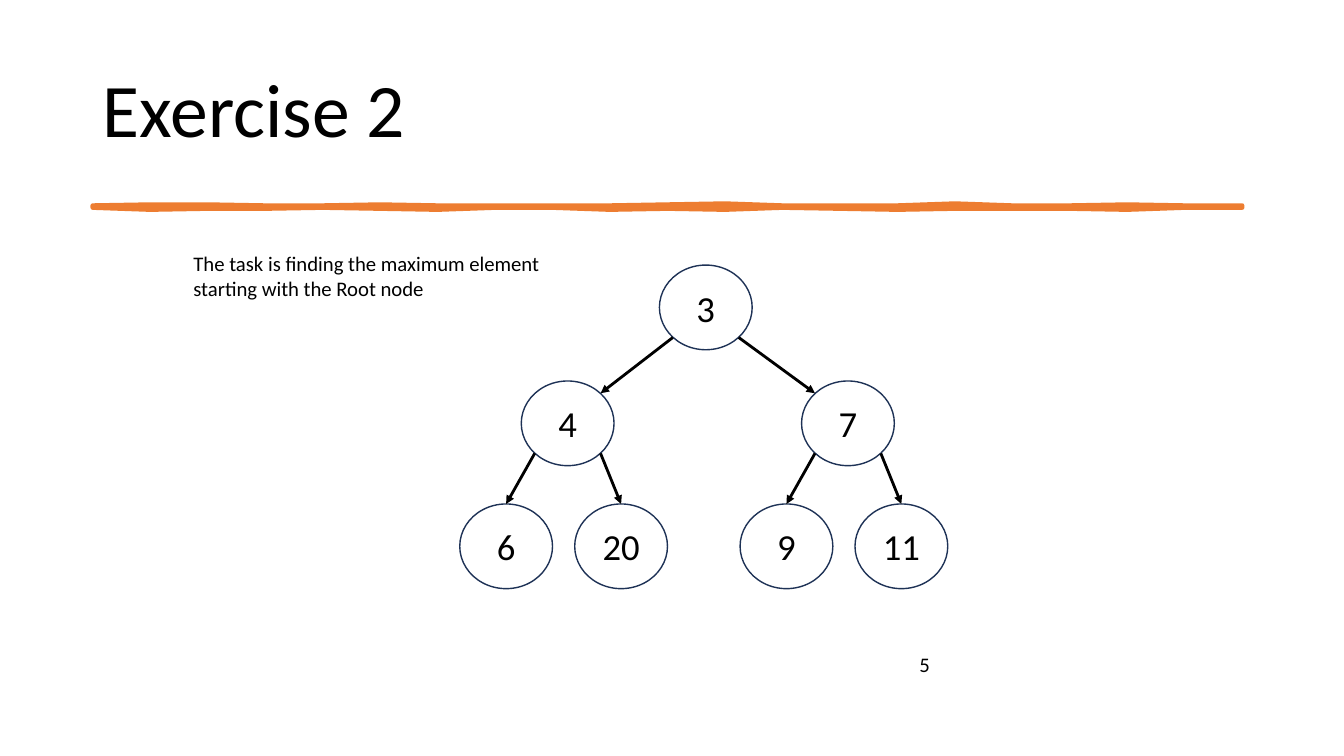
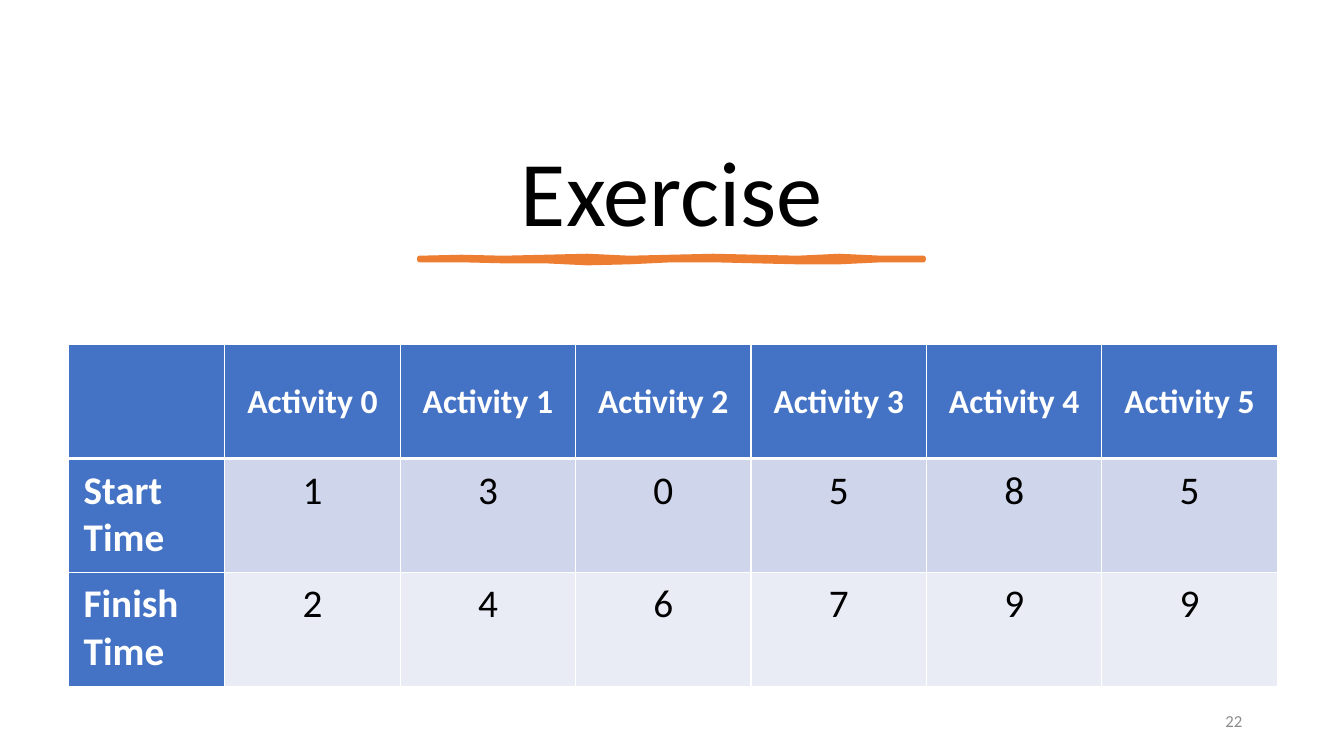
from lxml import etree
from pptx import Presentation
from pptx.dml.color import RGBColor
from pptx.enum.shapes import MSO_CONNECTOR, MSO_SHAPE
from pptx.enum.text import MSO_ANCHOR, PP_ALIGN
from pptx.oxml.ns import qn
from pptx.util import Inches, Pt

LEFT, CENTER, RIGHT = PP_ALIGN.LEFT, PP_ALIGN.CENTER, PP_ALIGN.RIGHT
TOP, MIDDLE, BOTTOM = MSO_ANCHOR.TOP, MSO_ANCHOR.MIDDLE, MSO_ANCHOR.BOTTOM
STRAIGHT, ELLIPSE = MSO_CONNECTOR.STRAIGHT, MSO_SHAPE.OVAL
TITLE_ONLY = 5

FONT = "Calibri"
BLACK, WHITE, GRAY = "000000", "FFFFFF", "8C8C8C"
ORANGE, NAVY, BLUE = "ED7D31", "1E3256", "4472C4"
ROW_FILLS = ["CFD5EA", "E9EBF5"]

NODE_W, NODE_H = 0.92, 0.84
DIAGONAL = 0.71
LEVEL_TOPS = [0, 1.15, 2.37]
CHILD_SHIFTS = [(-1.37, 1.41), (-0.61, 0.53)]


def color(value):
    """Turn a hex string into a colour."""
    return RGBColor.from_string(value)


def add_text(paragraph, text, size, hue=BLACK, align=LEFT, bold=False, after=0):
    """Add one formatted run to a paragraph."""
    paragraph.alignment = align
    paragraph.space_after = Pt(after)
    run = paragraph.add_run()
    run.text = text
    run.font.name, run.font.size, run.font.bold = FONT, Pt(size), bold
    run.font.color.rgb = color(hue)


def add_label(slide, box, text, size, hue=BLACK, align=LEFT, anchor=TOP):
    """Place a wrapped line of text in a box."""
    frame = slide.shapes.add_textbox(*map(Inches, box)).text_frame
    frame.word_wrap = True
    frame.vertical_anchor = anchor
    add_text(frame.paragraphs[0], text, size, hue, align, after=6)


def add_title_slide(prs, box, text, size, align, anchor):
    """Add a slide with its title moved to a box."""
    slide = prs.slides.add_slide(prs.slide_layouts[TITLE_ONLY])
    title = slide.shapes.title
    title.left, title.top, title.width, title.height = map(Inches, box)
    title.text_frame.vertical_anchor = anchor
    paragraph = title.text_frame.paragraphs[0]
    paragraph.line_spacing = 0.9
    add_text(paragraph, text, size, align=align)
    return slide


def add_brush_stroke(slide, left, top, width, rises, dips):
    """Draw an uneven stroke whose edges swell by hundredths of an inch."""
    step = width / (len(rises) - 1)
    upper = [(left + i * step, top - rise / 100) for i, rise in enumerate(rises)]
    lower = [(left + i * step, top + 0.02 + dip / 100) for i, dip in enumerate(dips)]
    points = [(Inches(x), Inches(y)) for x, y in upper + lower[::-1]]
    builder = slide.shapes.build_freeform(*points[0])
    builder.add_line_segments(points[1:], close=True)
    stroke = builder.convert_to_shape()
    stroke.shadow.inherit = False
    stroke.fill.solid()
    stroke.fill.fore_color.rgb = color(ORANGE)
    stroke.line.color.rgb = color(ORANGE)
    stroke.line.width = Pt(3.25)
    etree.SubElement(stroke.line._get_or_add_ln(), qn("a:round"))


def add_node(slide, x, y, value):
    """Draw one tree node centred on a point."""
    box = (x - NODE_W / 2, y - NODE_H / 2, NODE_W, NODE_H)
    node = slide.shapes.add_shape(ELLIPSE, *map(Inches, box))
    node.shadow.inherit = False
    node.fill.background()
    node.line.color.rgb = color(NAVY)
    node.line.width = Pt(1)
    frame = node.text_frame
    frame.word_wrap = False
    frame.vertical_anchor = MIDDLE
    add_text(frame.paragraphs[0], value, 26.2, align=CENTER)
    return node


def add_arrow(slide, start, end):
    """Draw a black arrow between two points."""
    arrow = slide.shapes.add_connector(STRAIGHT, *map(Inches, start + end))
    arrow.line.color.rgb = color(BLACK)
    arrow.line.width = Pt(2)
    etree.SubElement(arrow.line._get_or_add_ln(), qn("a:tailEnd"), type="triangle")
    etree.SubElement(arrow._element.spPr, qn("a:effectLst"))
    return arrow


def add_tree(slide, root_x, root_y, values):
    """Draw a binary tree from values listed level by level."""
    centers = []
    reach_x, reach_y = NODE_W / 2 * DIAGONAL, NODE_H / 2 * DIAGONAL
    for index, value in enumerate(values):
        level = (index + 1).bit_length() - 1
        x, y = root_x, root_y + LEVEL_TOPS[level]
        if index:
            parent_x, parent_y = centers[(index - 1) // 2]
            is_right = index % 2 == 0
            x = parent_x + CHILD_SHIFTS[level - 1][is_right]
        centers.append((x, y))
        node = add_node(slide, x, y, value)
        if index:
            side = 1 if is_right else -1
            start = (parent_x + side * reach_x, parent_y + reach_y)
            if level == 1:
                add_arrow(slide, start, (x - side * reach_x, y - reach_y))
            else:
                arrow = add_arrow(slide, start, (x, y - NODE_H / 2))
                arrow.end_connect(node, 0)


def set_borders(cell, top, bottom):
    """Give a cell white borders, with its own top and bottom widths."""
    properties = cell._tc.get_or_add_tcPr()
    for side, width in (("L", 1), ("R", 1), ("T", top), ("B", bottom)):
        line = etree.SubElement(properties, qn("a:ln" + side), w=str(Pt(width)))
        fill = etree.SubElement(line, qn("a:solidFill"))
        etree.SubElement(fill, qn("a:srgbClr"), val=WHITE)


def add_schedule(slide, left, top, rows):
    """Place the activity table with a header row and column."""
    label_width, value_width, row_height = 1.55, 1.74, 1.13
    value_count = len(rows[0]) - 1
    size = (label_width + value_count * value_width, len(rows) * row_height)
    table = slide.shapes.add_table(
        len(rows), value_count + 1, *map(Inches, (left, top) + size)).table
    for c, column in enumerate(table.columns):
        column.width = Inches(value_width if c else label_width)
    for r, texts in enumerate(rows):
        table.rows[r].height = Inches(row_height)
        for c, text in enumerate(texts):
            cell = table.cell(r, c)
            is_header = r == 0 or c == 0
            set_borders(cell, 3 if r == 1 else 1, 3 if r == 0 else 1)
            cell.fill.solid()
            cell.fill.fore_color.rgb = color(BLUE if is_header else ROW_FILLS[r - 1])
            cell.margin_left = cell.margin_right = Inches(0.15)
            cell.margin_top = cell.margin_bottom = Inches(0.08)
            cell.vertical_anchor = TOP if r else MIDDLE
            for i, part in enumerate(text.split("\n") if text else []):
                frame = cell.text_frame
                paragraph = frame.add_paragraph() if i else frame.paragraphs[0]
                add_text(paragraph, part, 28 if r else 24,
                         WHITE if is_header else BLACK,
                         CENTER if c else LEFT, is_header)


def build_tree_slide(prs):
    """Build the maximum-element exercise."""
    slide = add_title_slide(prs, (0.92, 0.4, 11.5, 1.45), "Exercise 2", 54, LEFT, MIDDLE)
    add_brush_stroke(
        slide, 0.92, 2.04, 11.4,
        [0, 1, 1, 0, 0, 1, 0, 0, 0, 0, 1, 2, 0, 0, 0, 2, 0, 0, 1, 0, 0],
        [0, 2, 1, 1, 0, 1, 2, 0, 0, 2, 1, 2, 0, 1, 2, 1, 1, 1, 2, 0, 0])
    add_label(slide, (9.02, 6.42, 2.49, 0.33), "5", 14.8)
    add_tree(slide, 7, 3.05, ["3", "4", "7", "6", "20", "9", "11"])
    add_label(slide, (1.82, 2.44, 3.88, 0.6),
              "The task is finding the maximum element starting with the Root node", 14.8)


def build_schedule_slide(prs):
    """Build the activity-selection exercise."""
    slide = add_title_slide(prs, (0.7, 0.5, 11.93, 2), "Exercise", 66, CENTER, BOTTOM)
    add_brush_stroke(slide, 4.16, 2.56, 5,
                     [0, 1, 0, 1, 2, 0, 1, 2, 1, 0, 2, 0, 0],
                     [0, 0, 1, 1, 3, 2, 0, 0, 1, 2, 2, 0, 0])
    add_label(slide, (9.42, 6.95, 3, 0.4), "22", 12, GRAY, RIGHT, MIDDLE)
    add_schedule(slide, 0.68, 3.42, [
        [""] + [f"Activity {number}" for number in range(6)],
        ["Start Time", "1", "3", "0", "5", "8", "5"],
        ["Finish\nTime", "2", "4", "6", "7", "9", "9"],
    ])


def main():
    """Build and save the presentation."""
    prs = Presentation()
    prs.slide_width, prs.slide_height = Inches(13.33), Inches(7.5)
    build_tree_slide(prs)
    build_schedule_slide(prs)
    prs.save("out.pptx")


if __name__ == "__main__":
    main()
